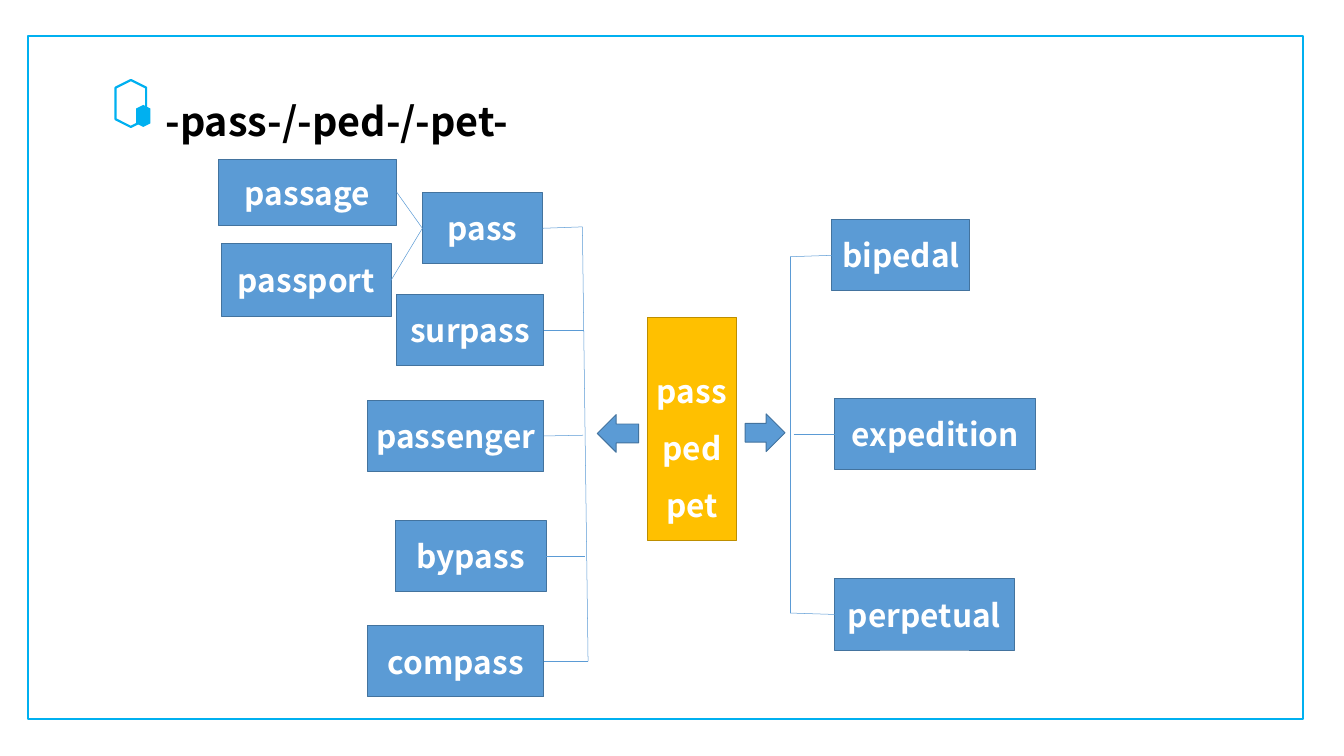
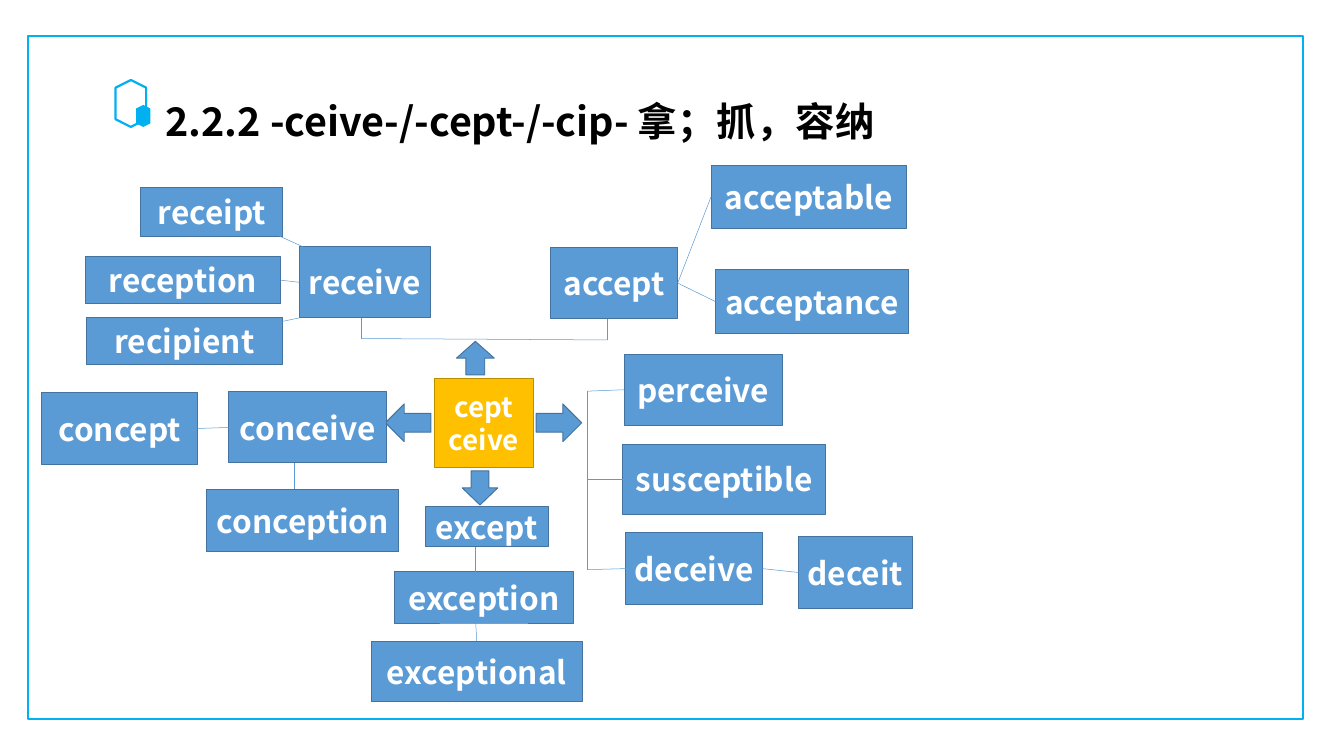
from dataclasses import dataclass

from lxml import etree
from pptx import Presentation, util as u
from pptx.dml.color import RGBColor
from pptx.enum import shapes, text
from pptx.oxml.ns import qn

# Look shared by both slides
CYAN = RGBColor(0x00, 0xB0, 0xF0)
BLUE = RGBColor(0x5B, 0x9B, 0xD5)
NAVY = RGBColor(0x43, 0x73, 0x9E)
GOLD = RGBColor(0xFF, 0xC0, 0x00)
BROWN = RGBColor(0xBD, 0x8E, 0x00)
WHITE = RGBColor(0xFF, 0xFF, 0xFF)
BLACK = RGBColor(0x00, 0x00, 0x00)
FONT = "Noto Sans CJK SC"
KIND = shapes.MSO_SHAPE

# The slide is a grid of square cells, ten to the inch
CELL = u.Inches(0.1)
COLS, ROWS = 189, 106.3
SIDES = "TLBR"  # connection sites 0 to 3

End = str | tuple[float, float]  # "word.side" or a grid point


@dataclass
class Box:
    """A word in a blue rectangle."""
    word: str
    x: float
    y: float
    w: float
    h: float = 10


@dataclass
class Root:
    """The gold rectangle in the middle."""
    words: list[str]
    x: float
    y: float
    w: float
    h: float
    size: int
    gap: float = 1
    inset: float = 0.5


@dataclass
class Arrow:
    kind: shapes.MSO_SHAPE
    x: float
    y: float
    w: float
    h: float


@dataclass
class Wire:
    start: End
    end: End


@dataclass
class Map:
    title: str
    root: Root
    arrows: list[Arrow]
    boxes: list[Box]
    wires: list[Wire]


def cells(*vals: float) -> list[int]:
    return [u.Emu(round(v * CELL)) for v in vals]


def style(para, size: int, color: RGBColor) -> None:
    font = para.font
    font.size, font.bold, font.name = u.Pt(size), True, FONT
    font.color.rgb = color
    props = para._p.pPr.find(qn("a:defRPr"))
    etree.SubElement(props, qn("a:ea")).set("typeface", FONT)


def shape(slide, kind, x: float, y: float, w: float, h: float,
          fill: RGBColor | None = None, line: RGBColor | None = None,
          width: float = 1):
    item = slide.shapes.add_shape(kind, *cells(x, y, w, h))
    item.shadow.inherit = False
    if fill is None:
        item.fill.background()
    else:
        item.fill.solid()
        item.fill.fore_color.rgb = fill
    if line is None:
        item.line.fill.background()
    else:
        item.line.color.rgb = line
        item.line.width = u.Pt(width)
    return item


def label(item, words: list[str], size: int, gap: float = 1) -> None:
    frame = item.text_frame
    frame.vertical_anchor = text.MSO_ANCHOR.MIDDLE
    frame.text = "\n".join(words)
    for para in frame.paragraphs:
        para.alignment = text.PP_ALIGN.CENTER
        if gap != 1:
            para.line_spacing = gap
        style(para, size, WHITE)


def wire(slide, link: Wire, nodes: dict) -> None:
    ends = (link.start, link.end)
    points = [(0, 0) if isinstance(e, str) else e for e in ends]
    item = slide.shapes.add_connector(
        shapes.MSO_CONNECTOR.STRAIGHT, *cells(*points[0], *points[1]))
    for end, join in zip(ends, (item.begin_connect, item.end_connect)):
        if isinstance(end, str):
            word, side = end.split(".")
            join(nodes[word], SIDES.index(side))
    item.line.color.rgb = BLUE
    item.line.width = u.Pt(0.5)
    etree.SubElement(item._element.spPr, qn("a:effectLst"))


def base(slide, title: str) -> None:
    """Frame, hexagon mark and title."""
    shape(slide, KIND.RECTANGLE, 3.9, 5.1, 179.3, 96, line=CYAN, width=2.25)
    big = shape(slide, KIND.HEXAGON, 15.1, 12.4, 6.6, 4.3, line=CYAN, width=2.25)
    small = shape(slide, KIND.HEXAGON, 18.6, 15.3, 3.1, 2, fill=CYAN)
    big.rotation = small.rotation = 90
    frame = slide.shapes.add_textbox(*cells(22.3, 13.2, 107, 7.7)).text_frame
    frame.word_wrap = False
    frame.text = title
    style(frame.paragraphs[0], 40, BLACK)


def draw(slide, plan: Map) -> None:
    base(slide, plan.title)
    root = plan.root
    core = shape(slide, KIND.RECTANGLE, root.x, root.y, root.w, root.h, GOLD, BROWN)
    label(core, root.words, root.size, root.gap)
    core.text_frame.margin_top = cells(root.inset)[0]
    for a in plan.arrows:
        shape(slide, a.kind, a.x, a.y, a.w, a.h, BLUE, NAVY)
    nodes = {}
    for b in plan.boxes:
        nodes[b.word] = shape(slide, KIND.RECTANGLE, b.x, b.y, b.w, b.h, BLUE, NAVY)
        label(nodes[b.word], [b.word], 32)
    for link in plan.wires:
        wire(slide, link, nodes)


# Slide 1: words on pass, ped, pet
PASS = Map(
    "-pass-/-ped-/-pet-",
    Root(["pass", "ped", "pet"], 91, 44.6, 12.6, 31.4, 32, 1.5, 3.2),
    [Arrow(KIND.LEFT_ARROW, 84, 58.3, 5.8, 5.3),
     Arrow(KIND.RIGHT_ARROW, 104.8, 58.2, 5.6, 5.3)],
    [Box("passage", 30.7, 22.4, 25.1, 9.3),
     Box("passport", 31.2, 34.3, 23.8, 10.2),
     Box("pass", 59.4, 27.1, 16.9),
     Box("surpass", 55.7, 41.4, 20.8),
     Box("passenger", 51.7, 56.3, 24.8),
     Box("bypass", 55.6, 73.2, 21.2),
     Box("compass", 51.7, 88, 24.8),
     Box("bipedal", 117, 30.9, 19.4),
     Box("expedition", 117.4, 56, 28.2),
     Box("perpetual", 117.4, 81.4, 25.2)],
    [Wire("passage.R", "pass.L"),
     Wire("passport.R", "pass.L"),
     Wire("pass.R", (81.9, 31.9)),
     Wire("surpass.R", (82.1, 46.4)),
     Wire("passenger.R", (82, 61.2)),
     Wire("bypass.R", (82.3, 78.2)),
     Wire("compass.R", (82.7, 93)),
     Wire((81.9, 31.9), (82.7, 93)),
     Wire((111.1, 36.1), (111.1, 86.2)),
     Wire((111.1, 36.1), "bipedal.L"),
     Wire((111.6, 61), "expedition.L"),
     Wire((111.1, 86.2), "perpetual.L")])

# Slide 2: words on ceive, cept, cip
CEIVE = Map(
    "2.2.2 -ceive-/-cept-/-cip- 拿；抓，容纳",
    Root(["cept", "ceive"], 61.1, 53.2, 13.9, 12.5, 28),
    [Arrow(KIND.UP_ARROW, 64.2, 48, 5.3, 4.7),
     Arrow(KIND.LEFT_ARROW, 54.2, 56.8, 6.4, 5.3),
     Arrow(KIND.DOWN_ARROW, 65, 66.2, 5, 4.8),
     Arrow(KIND.RIGHT_ARROW, 75.4, 56.8, 6.4, 5.3)],
    [Box("receipt", 19.8, 26.3, 20, 6.9),
     Box("reception", 12, 36.1, 27.5, 6.6),
     Box("recipient", 12.2, 44.6, 27.5, 6.6),
     Box("receive", 42.1, 34.7, 18.4),
     Box("accept", 77.4, 34.8, 17.9),
     Box("acceptable", 100, 23.2, 27.5, 8.9),
     Box("acceptance", 100.6, 37.9, 27.2, 9),
     Box("concept", 5.9, 55.2, 21.9, 10.1),
     Box("conceive", 32.2, 55.1, 22.2),
     Box("conception", 29.1, 68.8, 27, 8.8),
     Box("except", 59.8, 71.2, 17.3, 5.7),
     Box("exception", 55.5, 80.4, 25.1, 7.2),
     Box("exceptional", 52.2, 90.2, 29.7, 8.5),
     Box("perceive", 87.8, 49.8, 22.2),
     Box("susceptible", 87.6, 62.5, 28.5, 9.8),
     Box("deceive", 88, 74.9, 19.2, 10.1),
     Box("deceit", 112.3, 75.5, 16)],
    [Wire((42.6, 34.7), (39.3, 33.2)),
     Wire("receive.L", "reception.R"),
     Wire((42.1, 44.7), (39.7, 45.2)),
     Wire((50.8, 44.7), (50.8, 47.6)),
     Wire((50.8, 47.6), (85.4, 47.8)),
     Wire((85.4, 44.8), (85.4, 47.8)),
     Wire("accept.R", "acceptable.L"),
     Wire("accept.R", "acceptance.L"),
     Wire("concept.R", "conceive.L"),
     Wire((41.4, 65.1), (41.4, 68.8)),
     Wire((66.9, 76.9), (66.9, 80.4)),
     Wire((66.9, 87.6), "exceptional.T"),
     Wire((82.6, 55), (82.6, 80.1)),
     Wire((82.6, 55), "perceive.L"),
     Wire((82.6, 67.4), "susceptible.L"),
     Wire((82.6, 80.1), "deceive.L"),
     Wire("deceive.R", "deceit.L")])


def main() -> None:
    deck = Presentation()
    deck.slide_width, deck.slide_height = cells(COLS, ROWS)
    for plan in (PASS, CEIVE):
        draw(deck.slides.add_slide(deck.slide_layouts[6]), plan)
    deck.save("out.pptx")


if __name__ == "__main__":
    main()
